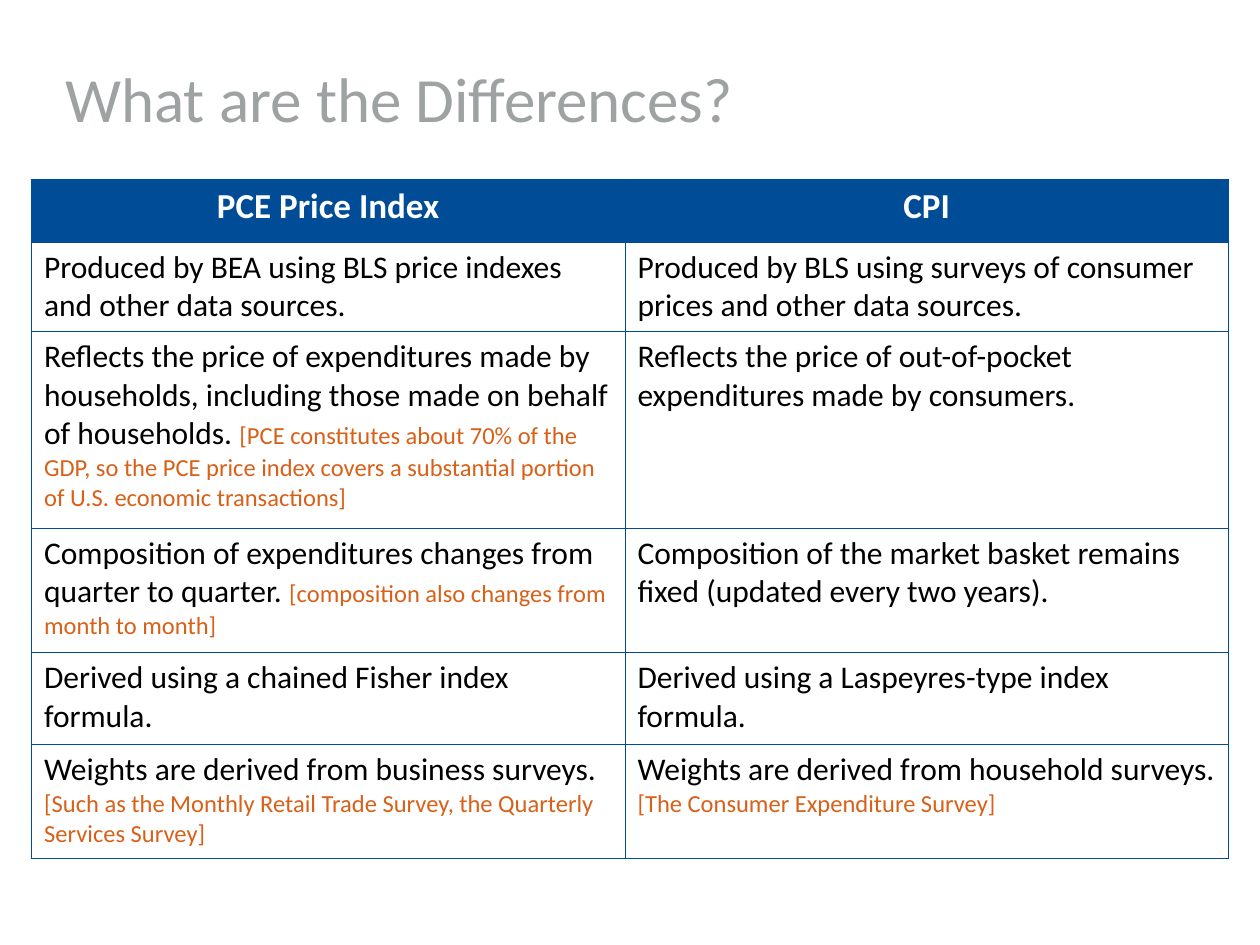
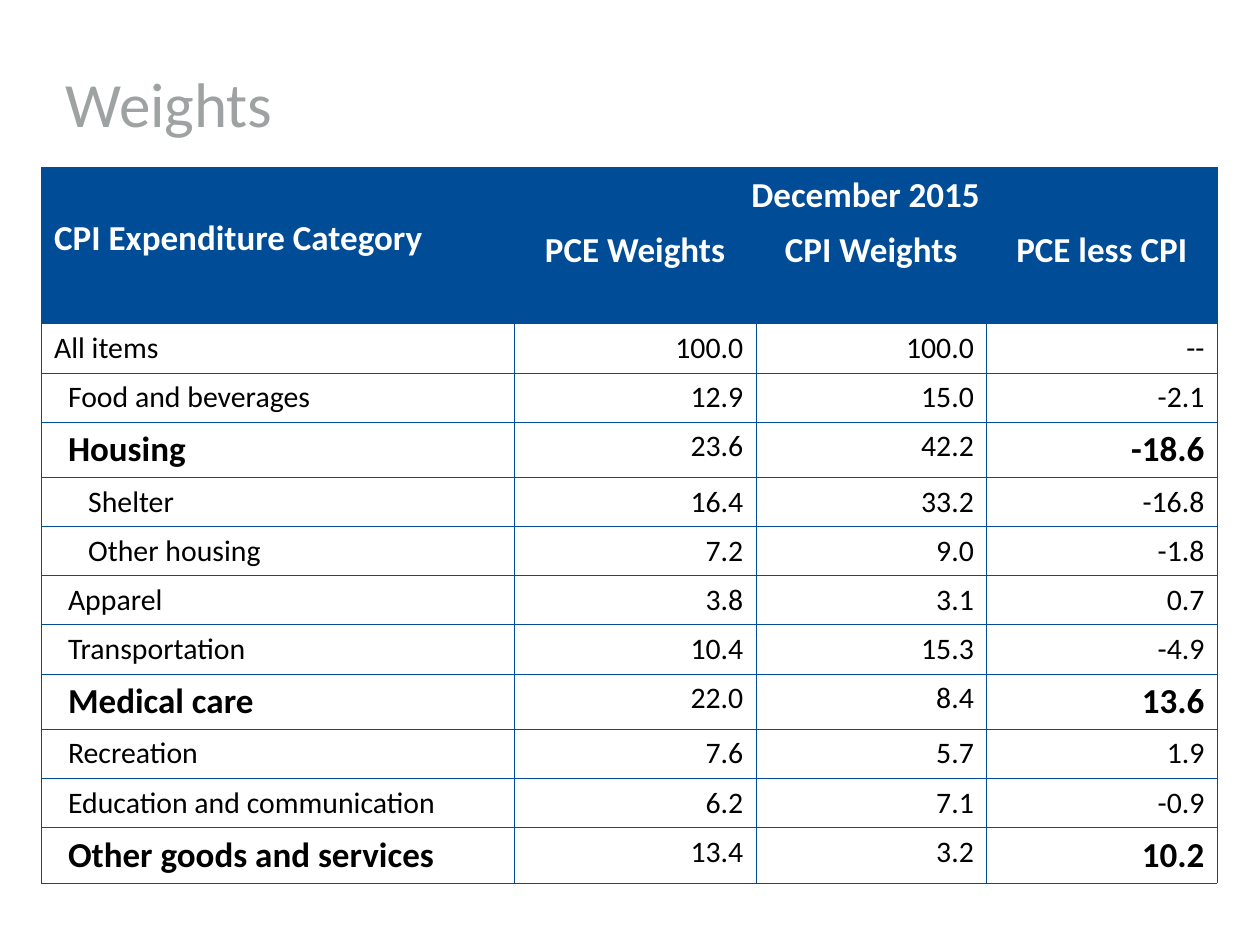
from dataclasses import dataclass

import pptx
import pptx.dml.color
import pptx.enum.text
import pptx.oxml
import pptx.oxml.ns
import pptx.presentation
import pptx.shapes.autoshape
import pptx.slide
import pptx.table
import pptx.text.text
import pptx.util

Inches = pptx.util.Inches
Pt = pptx.util.Pt
RGBColor = pptx.dml.color.RGBColor
ALIGN = pptx.enum.text.PP_ALIGN

BLUE = RGBColor(0x00, 0x4C, 0x97)
GREY = RGBColor(0x9E, 0xA2, 0xA2)
ORANGE = RGBColor(0xD8, 0x60, 0x18)
BLACK = RGBColor(0x00, 0x00, 0x00)
WHITE = RGBColor(0xFF, 0xFF, 0xFF)

FONT = "Calibri"
THIN, THICK = 0.45, 0.96
CELL_MARGIN = 0.1
LEVEL_INDENTS = (0, 0.11, 0.27)


@dataclass
class Statement:
    text: str
    note: str = ""


@dataclass
class Category:
    name: str
    level: int
    pce: str
    cpi: str
    difference: str
    bold: bool = False


DIFFERENCES = [
    (Statement("Produced by BEA using BLS price indexes and other data sources."),
     Statement("Produced by BLS using surveys of consumer prices and other data sources.")),
    (Statement("Reflects the price of expenditures made by households, including those "
               "made on behalf of households. ",
               "[PCE constitutes about 70% of the GDP, so the PCE price index covers "
               "a substantial portion of U.S. economic transactions]"),
     Statement("Reflects the price of out-of-pocket expenditures made by consumers.")),
    (Statement("Composition of expenditures changes from quarter to quarter. ",
               "[composition also changes from month to month]"),
     Statement("Composition of the market basket remains fixed (updated every two years).")),
    (Statement("Derived using a chained Fisher index formula."),
     Statement("Derived using a Laspeyres-type index formula.")),
    (Statement("Weights are derived from business surveys. ",
               "[Such as the Monthly Retail Trade Survey, the Quarterly Services Survey]"),
     Statement("Weights are derived from household surveys. ",
               "[The Consumer Expenditure Survey]")),
]

CATEGORIES = [
    Category("All items", 0, "100.0", "100.0", "--"),
    Category("Food and beverages", 1, "12.9", "15.0", "-2.1"),
    Category("Housing", 1, "23.6", "42.2", "-18.6", bold=True),
    Category("Shelter", 2, "16.4", "33.2", "-16.8"),
    Category("Other housing", 2, "7.2", "9.0", "-1.8"),
    Category("Apparel", 1, "3.8", "3.1", "0.7"),
    Category("Transportation", 1, "10.4", "15.3", "-4.9"),
    Category("Medical care", 1, "22.0", "8.4", "13.6", bold=True),
    Category("Recreation", 1, "7.6", "5.7", "1.9"),
    Category("Education and communication", 1, "6.2", "7.1", "-0.9"),
    Category("Other goods and services", 1, "13.4", "3.2", "10.2", bold=True),
]


def write(tf: pptx.text.text.TextFrame, text: str, *, size: float,
          color: RGBColor = BLACK, bold: bool = False,
          align: ALIGN = ALIGN.LEFT, before: float = 0) -> None:
    """Append a formatted run to the first paragraph."""
    p = tf.paragraphs[0]
    p.alignment = align
    p.space_before = Pt(before)
    r = p.add_run()
    r.text = text
    r.font.name = FONT
    r.font.size = Pt(size)
    r.font.bold = bold
    r.font.color.rgb = color


def add_title(slide: pptx.slide.Slide, text: str, top: float, height: float) -> None:
    sp = slide.shapes.add_textbox(Inches(0.42), Inches(top), Inches(8), Inches(height))
    tf = sp.text_frame
    tf.word_wrap = True
    tf.vertical_anchor = pptx.enum.text.MSO_ANCHOR.MIDDLE
    tf.margin_bottom = 0
    write(tf, text, size=36, color=GREY)


def set_border(cell: pptx.table._Cell, side: str, width: float) -> None:
    ln = pptx.oxml.parse_xml(
        f'<a:ln{side} {pptx.oxml.ns.nsdecls("a")} w="{Pt(width)}">'
        f'<a:solidFill><a:srgbClr val="{BLUE}"/></a:solidFill></a:ln{side}>')
    cell._tc.get_or_add_tcPr().append(ln)


def add_grid(slide: pptx.slide.Slide, left: float, top: float, columns: list[float],
             rows: list[float], header_rows: int, header_line: float) -> pptx.table.Table:
    """Add an empty bordered table whose header rows are filled blue."""
    table = slide.shapes.add_table(
        len(rows), len(columns), Inches(left), Inches(top),
        Inches(sum(columns)), Inches(sum(rows))).table
    table.first_row = table.horz_banding = False
    for column, width in zip(table.columns, columns):
        column.width = Inches(width)
    for i, (row, height) in enumerate(zip(table.rows, rows)):
        row.height = Inches(height)
        top_line = header_line if i == header_rows else THIN
        bottom_line = header_line if i == header_rows - 1 else THIN
        for cell in row.cells:
            for side, width in zip("LRTB", (THIN, THIN, top_line, bottom_line)):
                set_border(cell, side, width)
            if i < header_rows:
                cell.fill.solid()
                cell.fill.fore_color.rgb = BLUE
            else:
                cell.fill.background()
    return table


def write_header(cell: pptx.table._Cell, text: str, align: ALIGN = ALIGN.CENTER) -> None:
    write(cell.text_frame, text, size=20, color=WHITE, bold=True, align=align, before=5)


def add_differences_slide(prs: pptx.presentation.Presentation) -> None:
    slide = prs.slides.add_slide(prs.slide_layouts[6])
    add_title(slide, "What are the Differences?", 0.25, 1)
    table = add_grid(slide, 0.25, 1.42, [4.71, 4.79],
                     [0.5, 0.71, 1.56, 0.99, 0.73, 0.9], 1, THICK)
    for col, heading in enumerate(("PCE Price Index", "CPI")):
        write_header(table.cell(0, col), heading)
    for row, statements in enumerate(DIFFERENCES, start=1):
        for col, statement in enumerate(statements):
            tf = table.cell(row, col).text_frame
            before = 3.5 if statement.note else 4.5
            write(tf, statement.text, size=18, before=before)
            if statement.note:
                write(tf, statement.note, size=14, color=ORANGE, before=before)


def add_weights_slide(prs: pptx.presentation.Presentation) -> None:
    slide = prs.slides.add_slide(prs.slide_layouts[6])
    add_title(slide, "Weights", 0.33, 0.92)
    heights = [0.44, 0.8] + [0.44 if c.bold else 0.39 for c in CATEGORIES]
    table = add_grid(slide, 0.33, 1.33, [3.75, 1.92, 1.83, 1.83], heights, 2, THIN)

    category_head = table.cell(0, 0)
    category_head.merge(table.cell(1, 0))
    category_head.margin_top = Inches(0.39)
    write_header(category_head, "CPI Expenditure Category", ALIGN.LEFT)
    table.cell(0, 1).merge(table.cell(0, 3))
    write_header(table.cell(0, 1), "December 2015")
    for col, heading in enumerate(("PCE Weights", "CPI Weights", "PCE less CPI"), start=1):
        write_header(table.cell(1, col), heading)

    for row, category in enumerate(CATEGORIES, start=2):
        values = (category.name, category.pce, category.cpi, category.difference)
        for col, value in enumerate(values):
            bold = category.bold and col in (0, 3)
            write(table.cell(row, col).text_frame, value, size=20 if bold else 17,
                  bold=bold, align=ALIGN.RIGHT if col else ALIGN.LEFT,
                  before=5 if bold else 4.2)
        table.cell(row, 0).margin_left = Inches(CELL_MARGIN + LEVEL_INDENTS[category.level])


def main() -> None:
    prs = pptx.Presentation()
    prs.slide_width = Inches(10)
    prs.slide_height = Inches(7.5)
    add_differences_slide(prs)
    add_weights_slide(prs)
    prs.save("out.pptx")


if __name__ == "__main__":
    main()
